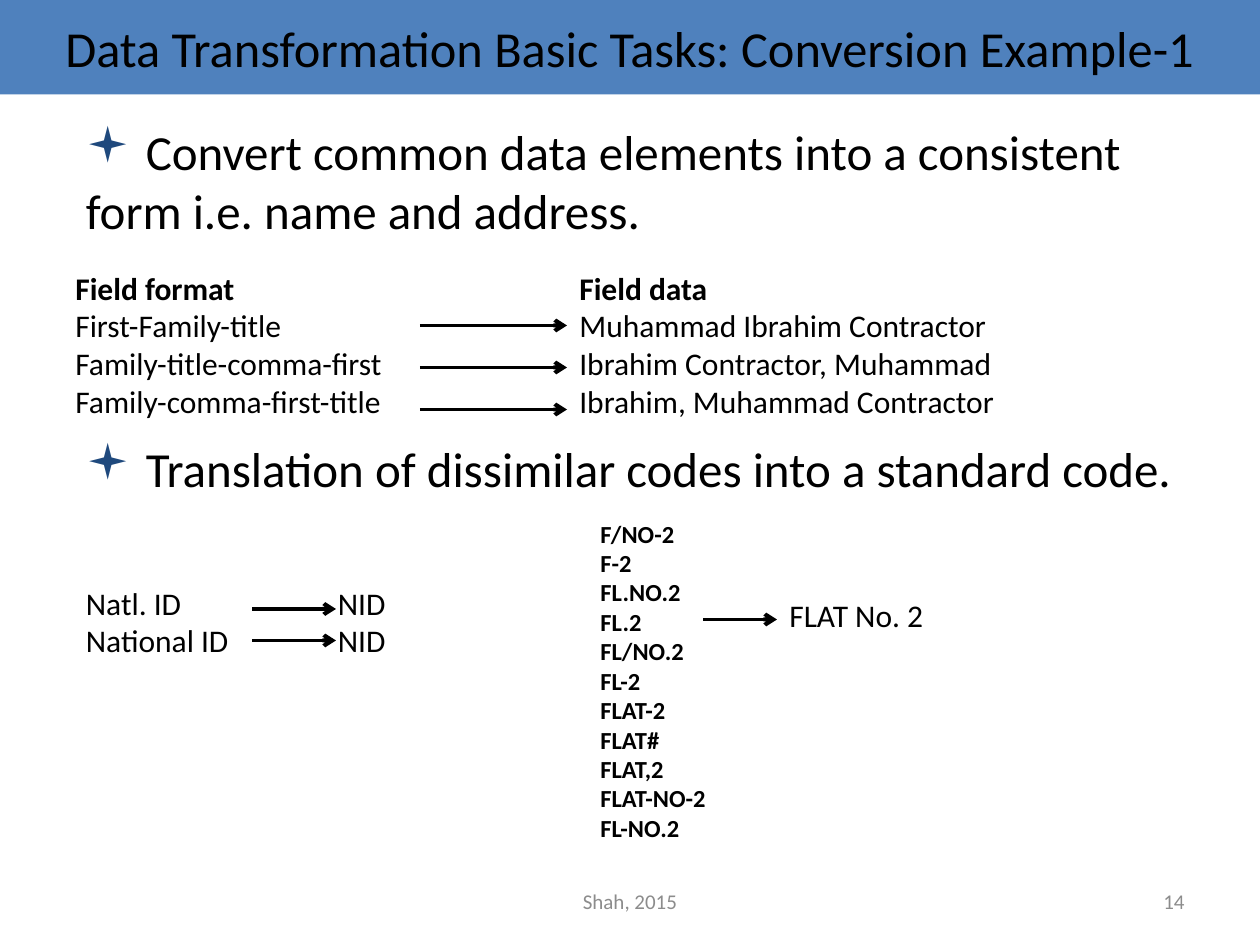
from dataclasses import dataclass
from typing import Optional

from lxml import etree
from pptx import Presentation
from pptx import util as u
from pptx.dml.color import RGBColor
from pptx.enum import shapes, text
from pptx.oxml.ns import qn

COLS, ROWS = 120, 90  # grid over the slide
UNIT = u.Inches(10) // COLS
LEFT, MID, RIGHT = text.PP_ALIGN.LEFT, text.PP_ALIGN.CENTER, text.PP_ALIGN.RIGHT


@dataclass(frozen=True)
class Theme:
    font: str = "Calibri"
    ink: str = "000000"
    grey: str = "8C8C8C"
    band: str = "4F81BD"
    paper: str = "FFFFFF"
    mark: str = "1F497D"
    title: float = 28.8
    lead: float = 28
    body: float = 18
    code: float = 14
    foot: float = 12
    line: float = 2.25


T = Theme()


@dataclass(frozen=True)
class Box:
    col: float
    row: float
    wide: float
    high: float
    lines: tuple
    size: float = T.body
    ink: str = T.ink
    fill: Optional[str] = None
    align: text.PP_ALIGN = LEFT
    middle: bool = False
    bold: int = 0  # number of bold lines from the top
    tab: float = 0  # tab stop, in columns
    mark: bool = False
    gap: float = 0  # points between paragraphs


@dataclass(frozen=True)
class Arrow:
    start: float
    end: float
    row: float


def grid(n: float) -> int:
    return round(n * UNIT)


def add_tab(para, cols: float) -> None:
    tabs = etree.SubElement(para._p.get_or_add_pPr(), qn("a:tabLst"))
    etree.SubElement(tabs, qn("a:tab"), pos=str(grid(cols)), algn="l")


def add_mark(para) -> None:
    props = para._p.get_or_add_pPr()
    props.set("marL", "0")
    props.set("indent", "0")
    tint = etree.SubElement(props, qn("a:buClr"))
    etree.SubElement(tint, qn("a:srgbClr"), val=T.mark)
    etree.SubElement(props, qn("a:buFont"), typeface="Wingdings")
    etree.SubElement(props, qn("a:buChar"), char="▪")


def draw_box(slide, box: Box) -> None:
    area = [grid(n) for n in (box.col, box.row, box.wide, box.high)]
    shape = slide.shapes.add_textbox(*area)
    if box.fill:
        shape.fill.solid()
        shape.fill.fore_color.rgb = RGBColor.from_string(box.fill)
    frame = shape.text_frame
    frame.word_wrap = True
    anchor = text.MSO_ANCHOR
    frame.vertical_anchor = anchor.MIDDLE if box.middle else anchor.TOP
    for i, line in enumerate(box.lines):
        para = frame.add_paragraph() if i else frame.paragraphs[0]
        para.alignment = box.align
        if i and box.gap:
            para.space_before = u.Pt(box.gap)
        if box.mark:
            add_mark(para)
        if box.tab:
            add_tab(para, box.tab)
        run = para.add_run()
        run.text = line
        look = {"name": T.font, "size": u.Pt(box.size), "bold": i < box.bold}
        for key, value in look.items():
            setattr(run.font, key, value)
        run.font.color.rgb = RGBColor.from_string(box.ink)


def draw_arrow(slide, arrow: Arrow) -> None:
    y = grid(arrow.row)
    link = slide.shapes.add_connector(
        shapes.MSO_CONNECTOR.STRAIGHT, grid(arrow.start), y, grid(arrow.end), y)
    link.line.width = u.Pt(T.line)
    link.line.color.rgb = RGBColor.from_string(T.ink)
    etree.SubElement(link.line._get_or_add_ln(), qn("a:tailEnd"), type="arrow")
    etree.SubElement(link._element.spPr, qn("a:effectLst"))


# Field formats and their data, either side of a tab
FIELDS = (
    "Field format\tField data",
    "First-Family-title\tMuhammad Ibrahim Contractor",
    "Family-title-comma-first\tIbrahim Contractor, Muhammad",
    "Family-comma-first-title\tIbrahim, Muhammad Contractor",
)
IDS = ("Natl. ID\tNID", "National ID\tNID")
FLATS = ("F/NO-2", "F-2", "FL.NO.2", "FL.2", "FL/NO.2", "FL-2", "FLAT-2",
         "FLAT#", "FLAT,2", "FLAT-NO-2", "FL-NO.2")
POINTS = (
    " Convert common data elements into a consistent form i.e. name and address.",
    " Translation of dissimilar codes into a standard code.",
)

BOXES = (
    # Footer
    Box(41, 83.4, 38, 4.8, ("Shah, 2015",), T.foot, T.grey, align=MID, middle=True),
    Box(86, 83.4, 28, 4.8, ("14",), T.foot, T.grey, align=RIGHT, middle=True),
    # Title band
    Box(0, 0, COLS, 9, ("Data Transformation Basic Tasks: Conversion Example-1",),
        T.title, fill=T.band, align=MID, middle=True),
    # Main points
    Box(7, 11, 109, 60.8, POINTS, T.lead, mark=True, gap=114),
    # Examples
    Box(6, 25, 97, 15.6, FIELDS, fill=T.paper, bold=1, tab=48),
    Box(7, 55, 31.6, 8.4, IDS, fill=T.paper, tab=24),
    Box(56, 48.8, 28, 32, FLATS, T.code, fill=T.paper, bold=len(FLATS)),
    Box(74, 56.2, 17.8, 4.8, ("FLAT No. 2",), fill=T.paper),
)
ARROWS = (
    *(Arrow(40, 54, row) for row in (31, 35, 39)),
    *(Arrow(24, 32, row) for row in (58, 61)),
    Arrow(67, 74, 59),
)


def main() -> None:
    deck = Presentation()
    deck.slide_width, deck.slide_height = grid(COLS), grid(ROWS)
    slide = deck.slides.add_slide(deck.slide_layouts[6])
    for box in BOXES:
        draw_box(slide, box)
    for arrow in ARROWS:
        draw_arrow(slide, arrow)
    deck.save("out.pptx")


if __name__ == "__main__":
    main()
